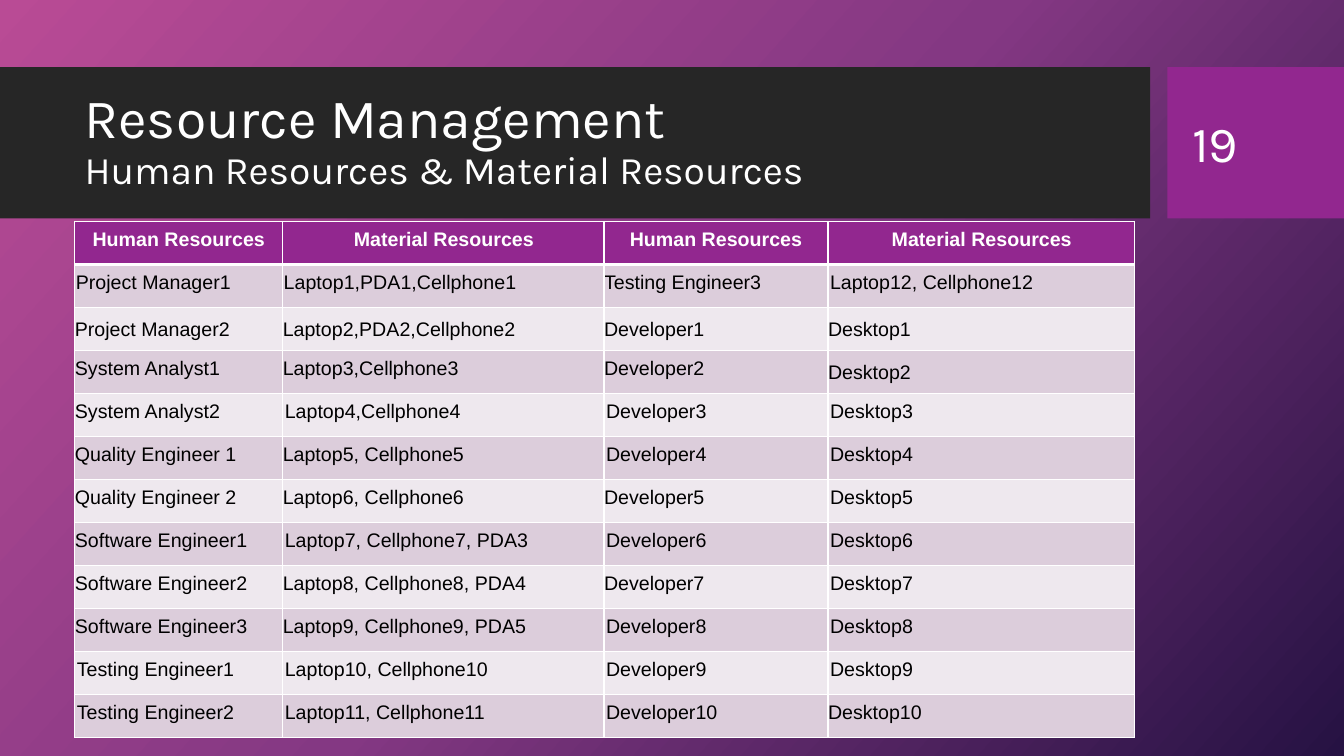
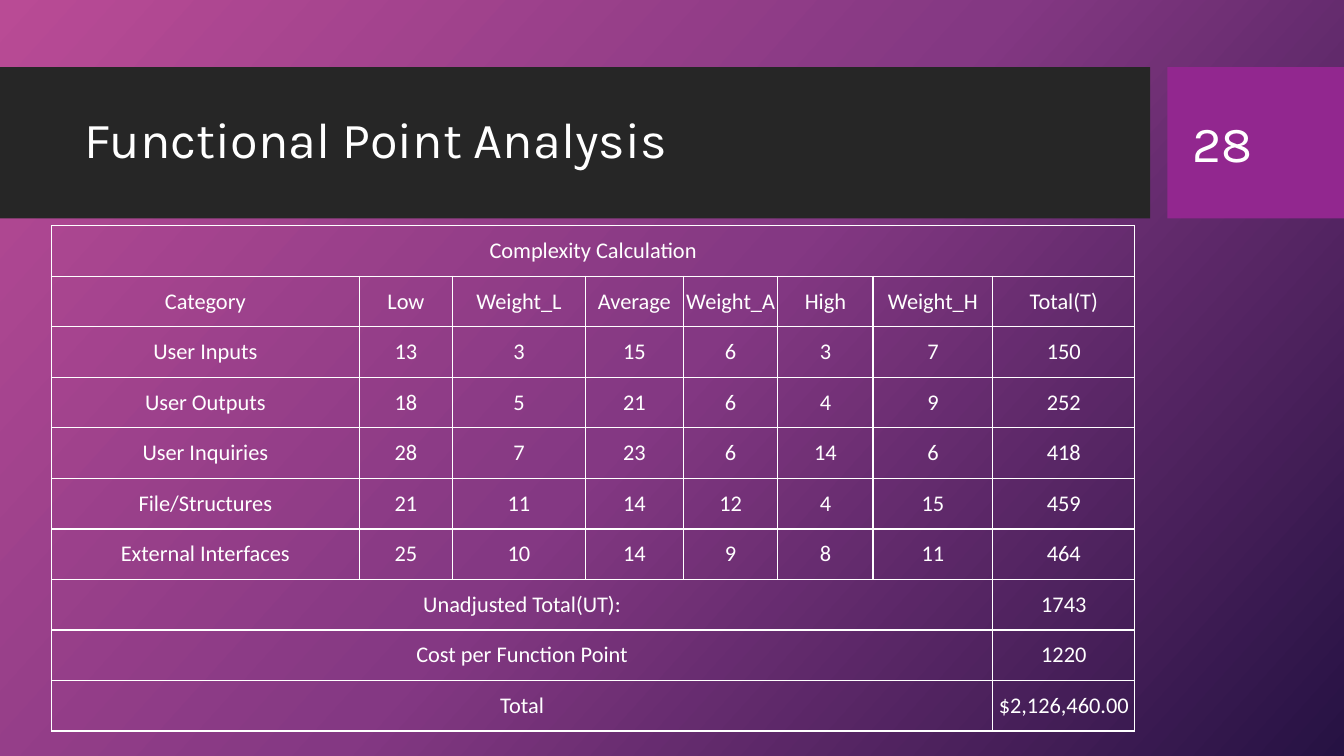
from copy import deepcopy

from pptx import Presentation
from pptx import util as u
from pptx.dml import color
from pptx.enum import shapes, text
from pptx.oxml import ns, parse_xml

Pt = u.Pt
COLORS = {"white": "FFFFFF", "black": "000000", "band": "262626", "accent": "92278F",
          "odd": "DCCDDB", "even": "EEE8EE"}
GRADIENT = [(0, "B94B95"), (0.5, "843883"), (1, "261243")]
CENTER, LEFT = text.PP_ALIGN.CENTER, text.PP_ALIGN.LEFT


def rgb(name):
    return color.RGBColor.from_string(COLORS[name])


class Deck:
    """Holds the shared style and the current slide."""

    def __init__(self):
        self.prs = Presentation()
        self.prs.slide_width, self.prs.slide_height = Pt(960), Pt(540)
        self.s = None

    # Slide frame: background, title band, number block
    def slide(self, number, title_lines):
        self.s = self.prs.slides.add_slide(self.prs.slide_layouts[6])
        self.background()
        self.rect(0, 48, 821.5, 108, "band")
        self.rect(833.8, 48, 126.2, 108, "accent")
        self.text_box(53.3, 59, 756.7, 85, title_lines, spacing=0.9)
        self.text_box(844.6, 59, 90.7, 85.7, [(number, 36)])

    def background(self):
        fill = self.s.background.fill
        fill.gradient()
        fill.gradient_angle = 318
        stops = next(self.s.element.iter(ns.qn("a:gsLst")))
        stops.append(deepcopy(stops[0]))
        for stop, (position, value) in zip(fill.gradient_stops, GRADIENT):
            stop.position = position
            stop.color.rgb = color.RGBColor.from_string(value)

    def rect(self, x, y, w, h, fill):
        sp = self.s.shapes.add_shape(shapes.MSO_SHAPE.RECTANGLE, Pt(x), Pt(y), Pt(w), Pt(h))
        sp.shadow.inherit = False
        sp.fill.solid()
        sp.fill.fore_color.rgb = rgb(fill)
        sp.line.fill.background()

    def run(self, p, content, size, font, fill="white", bold=False):
        r = p.add_run()
        r.text = content
        for key, value in {"size": Pt(size), "name": font, "bold": bold}.items():
            setattr(r.font, key, value)
        r.font.color.rgb = rgb(fill)

    def text_box(self, x, y, w, h, lines, spacing=1.0):
        tf = self.s.shapes.add_textbox(Pt(x), Pt(y), Pt(w), Pt(h)).text_frame
        tf.word_wrap = True
        tf.vertical_anchor = text.MSO_ANCHOR.MIDDLE
        p = tf.paragraphs[0]
        p.line_spacing = spacing
        for i, (content, size) in enumerate(lines):
            if i:
                p.add_line_break()
            self.run(p, content, size, "Karla")

    # Tables
    def table(self, x, y, widths, row_height, n_rows):
        frame = self.s.shapes.add_table(n_rows, len(widths), Pt(x), Pt(y),
                                        Pt(sum(widths)), Pt(row_height * n_rows))
        table = frame.table
        table.first_row = table.horz_banding = False
        for column, width in zip(table.columns, widths):
            column.width = Pt(width)
        for row in table.rows:
            row.height = Pt(row_height)
        return table

    def cell(self, cell, content, size, font, fill=None, ink="white", bold=False,
             align=CENTER, indent=0, spacing=None, top=1, bottom=1):
        margins = dict.fromkeys(("margin_left", "margin_right", "margin_top", "margin_bottom"), 0)
        for key, value in {**margins, "vertical_anchor": text.MSO_ANCHOR.MIDDLE}.items():
            setattr(cell, key, value)
        for side, width in {"L": 1, "R": 1, "T": top, "B": bottom}.items():
            self.border(cell, side, width)
        if fill:
            cell.fill.solid()
            cell.fill.fore_color.rgb = rgb(fill)
        else:
            cell.fill.background()
        if not content:
            return
        p = cell.text_frame.paragraphs[0]
        p.alignment, p.line_spacing = align, spacing
        if indent:
            p._p.get_or_add_pPr().set("marL", str(Pt(indent)))
        self.run(p, content, size, font, ink, bold)

    def border(self, cell, side, width):
        cell._tc.get_or_add_tcPr().append(parse_xml(
            f'<a:ln{side} {ns.nsdecls("a")} w="{Pt(width)}"><a:solidFill>'
            f'<a:srgbClr val="{COLORS["white"]}"/></a:solidFill></a:ln{side}>'))


# Each row: four texts, then one layout mark per cell
# (a digit is the indent in 0.72 pt steps, x is proportional line spacing)
RESOURCES = [
    ("Human Resources", "Material Resources", "Human Resources", "Material Resources", "0101"),
    ("Project Manager1", "Laptop1,PDA1,Cellphone1", "Testing Engineer3", "Laptop12, Cellphone12", "1102"),
    ("Project Manager2", "Laptop2,PDA2,Cellphone2", "Developer1", "Desktop1", "xxxx"),
    ("System Analyst1", "Laptop3,Cellphone3", "Developer2", "Desktop2", "000x"),
    ("System Analyst2", "Laptop4,Cellphone4", "Developer3", "Desktop3", "0222"),
    ("Quality Engineer 1", "Laptop5, Cellphone5", "Developer4", "Desktop4", "0022"),
    ("Quality Engineer 2", "Laptop6, Cellphone6", "Developer5", "Desktop5", "0002"),
    ("Software Engineer1", "Laptop7, Cellphone7, PDA3", "Developer6", "Desktop6", "0222"),
    ("Software Engineer2", "Laptop8, Cellphone8, PDA4", "Developer7", "Desktop7", "0002"),
    ("Software Engineer3", "Laptop9, Cellphone9, PDA5", "Developer8", "Desktop8", "0022"),
    ("Testing Engineer1", "Laptop10, Cellphone10", "Developer9", "Desktop9", "2222"),
    ("Testing Engineer2", "Laptop11, Cellphone11", "Developer10", "Desktop10", "2220"),
]

# Short rows are merged: the first text spans the columns left free
COMPLEXITY = [
    ("Complexity Calculation",),
    ("Category", "Low", "Weight_L", "Average", "Weight_A", "High", "Weight_H", "Total(T)"),
    ("User Inputs", "13", "3", "15", "6", "3", "7", "150"),
    ("User Outputs", "18", "5", "21", "6", "4", "9", "252"),
    ("User Inquiries", "28", "7", "23", "6", "14", "6", "418"),
    ("File/Structures", "21", "11", "14", "12", "4", "15", "459"),
    ("External Interfaces", "25", "10", "14", "9", "8", "11", "464"),
    ("Unadjusted Total(UT):", "1743"),
    ("Cost per Function Point", "1220"),
    ("Total", "$2,126,460.00"),
]


def resource_slide(deck):
    deck.slide("19", [("Resource Management", 39.6),
                      ("Human Resources & Material Resources", 27.9)])
    table = deck.table(53.5, 158.2, [148.5, 229.5, 160, 219], 30.75, len(RESOURCES))
    header = {"fill": "accent", "bold": True, "bottom": 3}
    for i, (*texts, marks) in enumerate(RESOURCES):
        body = {"fill": "odd" if i % 2 else "even", "ink": "black", "align": LEFT,
                "top": 3 if i == 1 else 1}
        for j, (content, mark) in enumerate(zip(texts, marks)):
            loose = mark == "x"
            deck.cell(table.cell(i, j), content, 14, "Arial",
                      indent=0 if loose else int(mark) * 0.72,
                      spacing=1.07 if loose else Pt(10.9),
                      **(body if i else header))


def complexity_slide(deck):
    deck.slide("28", [("Functional Point Analysis", 36)])
    widths = [220, 66.5, 95, 70, 67.5, 68, 85.5, 101.5]
    table = deck.table(36.7, 161.3, widths, 36.1, len(COMPLEXITY))
    for i, (first, *rest) in enumerate(COMPLEXITY):
        span = len(widths) - len(rest)
        if span > 1:
            table.cell(i, 0).merge(table.cell(i, span - 1))
        for j, content in enumerate([first] + [""] * (span - 1) + rest):
            deck.cell(table.cell(i, j), content, 16, "Calibri")


def main():
    deck = Deck()
    resource_slide(deck)
    complexity_slide(deck)
    deck.prs.save("out.pptx")


if __name__ == "__main__":
    main()
